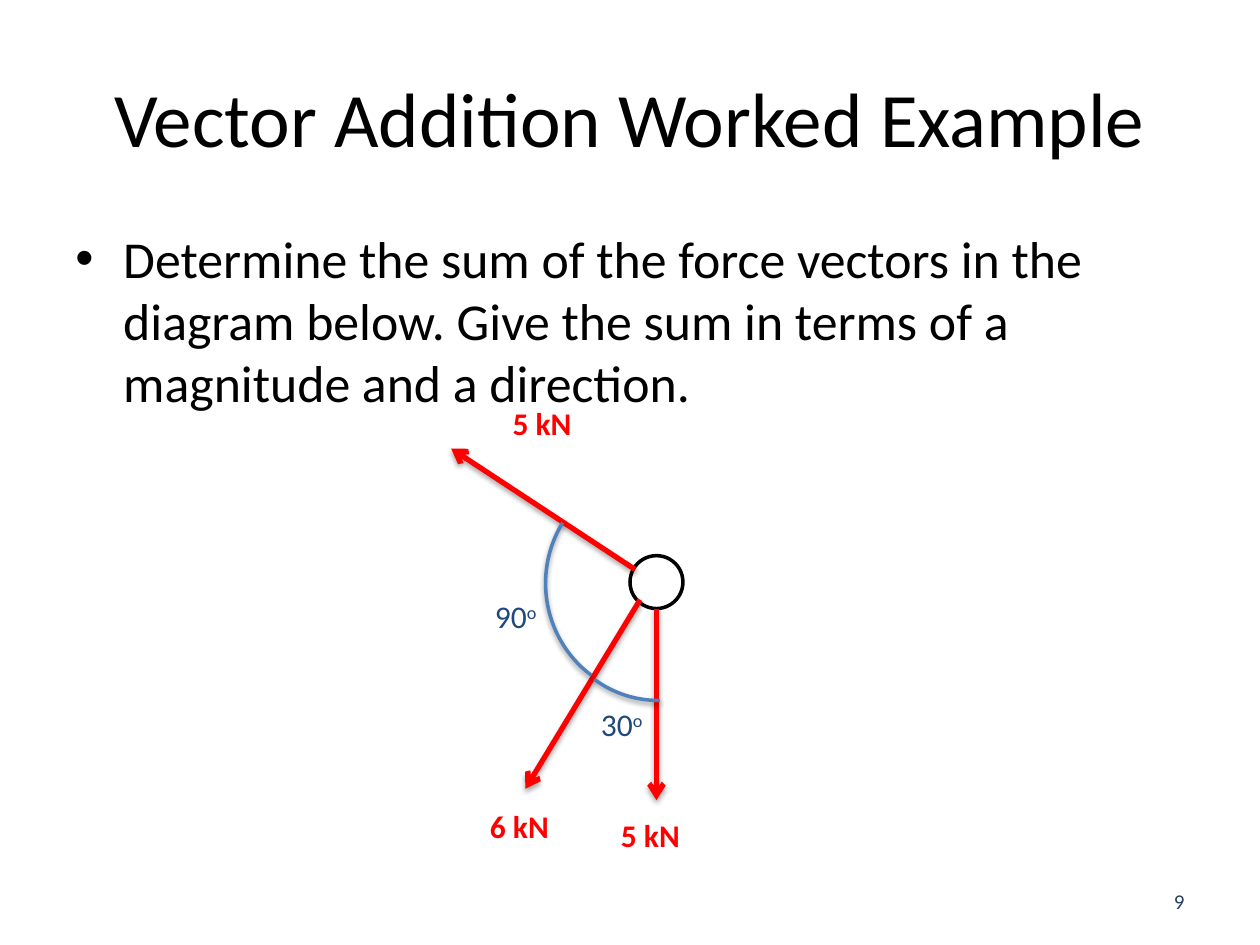
from dataclasses import dataclass

from lxml.etree import SubElement
from pptx import Presentation
from pptx.dml.color import RGBColor
from pptx.enum.shapes import MSO_CONNECTOR, MSO_SHAPE
from pptx.enum.text import MSO_ANCHOR, MSO_AUTO_SIZE, PP_ALIGN
from pptx.oxml.ns import qn
from pptx.util import Inches, Pt


@dataclass(frozen=True)
class Theme:
    font: str = "Calibri"
    ink: str = "000000"
    paper: str = "FFFFFF"
    force: str = "FF0000"
    arc: str = "4F81BD"
    angle: str = "1F497D"
    number: str = "254061"
    title_size: float = 44
    body_size: float = 29.6
    label_size: float = 18
    number_size: float = 12
    outline: float = 2
    arrow: float = 3


THEME = Theme()


def set_all(target, values):
    for name, value in values.items():
        setattr(target, name, value)


def add_text(slide, box, text, size, color, bold=False, superscript="",
             align=PP_ALIGN.LEFT, **frame_format):
    """Add a one-paragraph text box and return its paragraph."""
    frame = slide.shapes.add_textbox(*map(Inches, box)).text_frame
    set_all(frame, {"word_wrap": True, "auto_size": MSO_AUTO_SIZE.NONE, **frame_format})
    paragraph = frame.paragraphs[0]
    paragraph.alignment = align
    for part in filter(None, (text, superscript)):
        run = paragraph.add_run()
        run.text = part
        set_all(run.font, {"name": THEME.font, "size": Pt(size), "bold": bold})
        run.font.color.rgb = RGBColor.from_string(color)
    if superscript:
        run._r.get_or_add_rPr().set("baseline", "30000")
    return paragraph


def add_bullet(paragraph, indent):
    properties = paragraph._p.get_or_add_pPr()
    properties.set("marL", str(Inches(indent)))
    properties.set("indent", str(-Inches(indent)))
    SubElement(properties, qn("a:buFont"), typeface="Arial")
    SubElement(properties, qn("a:buChar"), char="•")


def set_line(shape, color, width):
    shape.line.color.rgb = RGBColor.from_string(color)
    shape.line.width = Pt(width)


def add_shadow(shape, distance, opacity):
    """Cast a soft shadow straight down."""
    effects = SubElement(shape._element.spPr, qn("a:effectLst"))
    shadow = SubElement(effects, qn("a:outerShdw"), blurRad=str(Pt(3.1)),
                        dist=str(Pt(distance)), dir="5400000", rotWithShape="0")
    color = SubElement(shadow, qn("a:srgbClr"), val=THEME.ink)
    SubElement(color, qn("a:alpha"), val=str(opacity * 1000))


def add_force(slide, start, end):
    force = slide.shapes.add_connector(MSO_CONNECTOR.STRAIGHT, *map(Inches, start + end))
    set_line(force, THEME.force, THEME.arrow)
    SubElement(force.line._get_or_add_ln(), qn("a:tailEnd"), type="arrow")
    add_shadow(force, 1.8, 35)


def add_arc(slide, left, top, angles):
    arc = slide.shapes.add_shape(MSO_SHAPE.ARC, *map(Inches, (left, top, 1.75, 1.8)))
    for index, degrees in enumerate(angles):
        arc.adjustments[index] = degrees * 0.6  # 60000 units to the degree
    arc.fill.background()
    set_line(arc, THEME.arc, THEME.outline)
    add_shadow(arc, 1.6, 38)


def add_joint(slide):
    joint = slide.shapes.add_shape(MSO_SHAPE.OVAL, *map(Inches, (5, 4.41, 0.42, 0.42)))
    joint.shadow.inherit = False
    joint.fill.solid()
    joint.fill.fore_color.rgb = RGBColor.from_string(THEME.paper)
    set_line(joint, THEME.ink, THEME.outline)


def add_angle_label(slide, left, top, degrees):
    add_text(slide, (left, top, 0.75, 0.4), degrees, THEME.label_size, THEME.angle,
             superscript="o", auto_size=MSO_AUTO_SIZE.SHAPE_TO_FIT_TEXT)


def add_force_label(slide, left, top, magnitude):
    add_text(slide, (left, top, 0.76, 0.4), magnitude, THEME.label_size, THEME.force,
             bold=True, word_wrap=False, auto_size=MSO_AUTO_SIZE.SHAPE_TO_FIT_TEXT)


def main():
    deck = Presentation()
    deck.slide_width, deck.slide_height = Inches(10), Inches(7.5)
    slide = deck.slides.add_slide(deck.slide_layouts[6])

    # Title, page number and problem statement
    add_text(slide, (0.5, 0.3, 9, 1.25), "Vector Addition Worked Example",
             THEME.title_size, THEME.ink, align=PP_ALIGN.CENTER,
             vertical_anchor=MSO_ANCHOR.MIDDLE)
    add_text(slide, (7.17, 6.95, 2.33, 0.4), "9", THEME.number_size, THEME.number,
             align=PP_ALIGN.RIGHT, vertical_anchor=MSO_ANCHOR.MIDDLE)
    problem = add_text(
        slide, (0.5, 1.75, 9, 1.33),
        "Determine the sum of the force vectors in the diagram below. "
        "Give the sum in terms of a magnitude and a direction.",
        THEME.body_size, THEME.ink)
    add_bullet(problem, 0.38)

    # Joint and the forces pulling on it
    add_joint(slide)
    for start, end in (((5.21, 4.83), (5.21, 6.35)),
                       ((5.04, 4.52), (3.58, 3.56)),
                       ((5.08, 4.76), (4.17, 6.26))):
        add_force(slide, start, end)

    # Angles between the forces
    add_arc(slide, 4.35, 3.76, (89.18, 124.72))
    add_angle_label(slide, 3.83, 4.69, "90")
    add_arc(slide, 4.33, 3.73, (125.05, 212.93))
    add_angle_label(slide, 4.67, 5.55, "30")

    # Force magnitudes
    for left, top, magnitude in ((3.97, 3.16, "5 kN"), (4.83, 6.43, "5 kN"),
                                 (3.79, 6.36, "6 kN")):
        add_force_label(slide, left, top, magnitude)

    deck.save("out.pptx")


if __name__ == "__main__":
    main()
